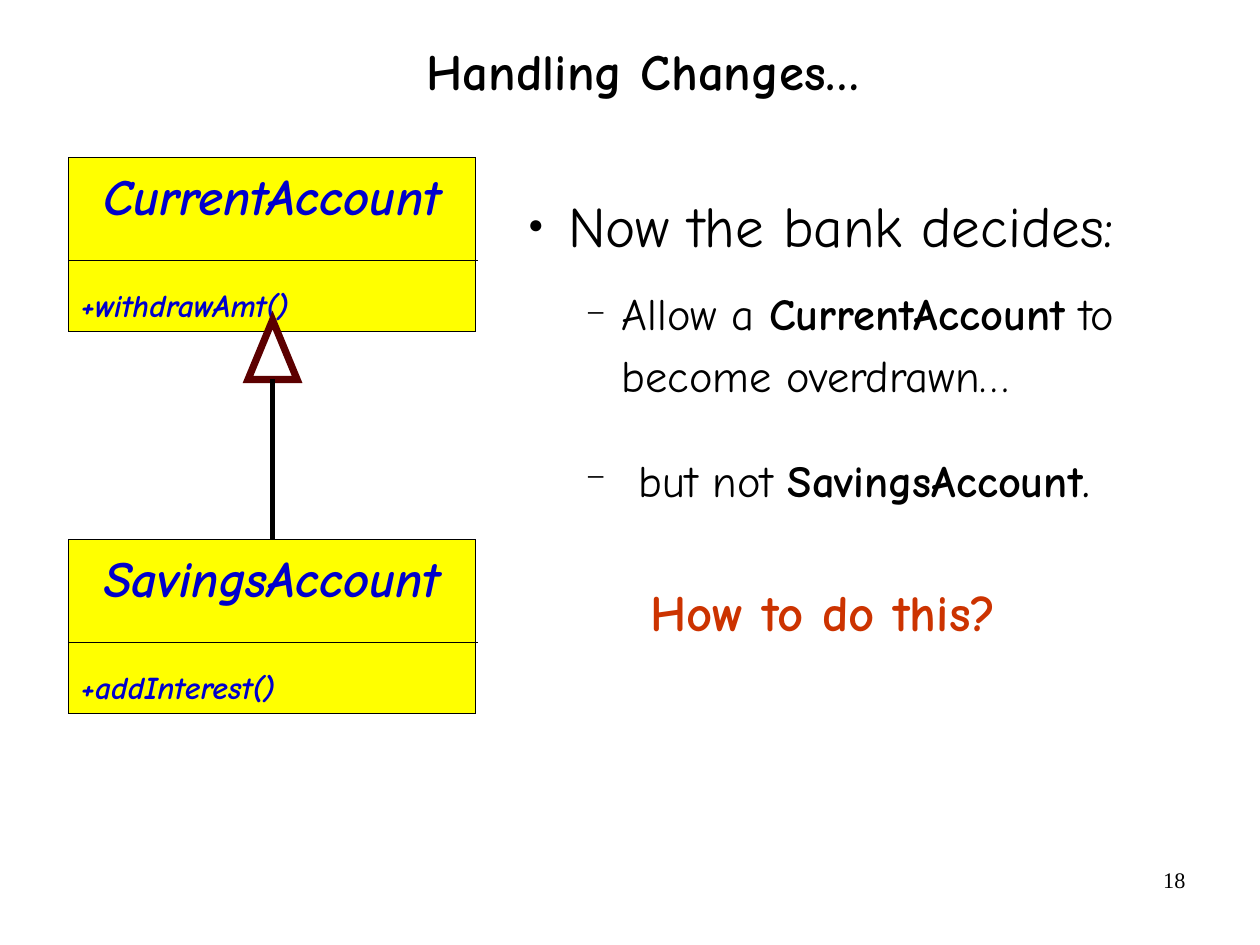
import pptx
import pptx.util
import pptx.dml.color
import pptx.enum.shapes
import pptx.enum.text
import pptx.oxml

Inches = pptx.util.Inches
Pt = pptx.util.Pt
SHAPE = pptx.enum.shapes.MSO_SHAPE
ALIGN = pptx.enum.text.PP_ALIGN
ANCHOR = pptx.enum.text.MSO_ANCHOR
NAMESPACE = 'xmlns:a="http://schemas.openxmlformats.org/drawingml/2006/main"'


def colour(value):
    """Turn a hex string into a colour."""
    return pptx.dml.color.RGBColor.from_string(value)


def add_span(para, text, size, ink="000000", bold=False, italic=False, face="Comic Neue"):
    """Add one run of text to a paragraph."""
    span = para.add_run()
    span.text = text
    font = span.font
    font.name, font.size, font.bold, font.italic = face, Pt(size), bold, italic
    font.color.rgb = colour(ink)


def set_frame(frame, across=0, down=0, anchor=ANCHOR.TOP):
    """Set wrapping, insets and anchor, and return the first paragraph."""
    frame.word_wrap = True
    frame.vertical_anchor = anchor
    frame.margin_left = frame.margin_right = Inches(across)
    frame.margin_top = frame.margin_bottom = Inches(down)
    return frame.paragraphs[0]


def add_text_box(page, left, top, width, height):
    """Add an empty text box and return its frame."""
    return page.shapes.add_textbox(
        Inches(left), Inches(top), Inches(width), Inches(height)).text_frame


def add_outlined(page, kind, left, top, width, height, fill, ink, weight):
    """Add a filled preset shape with a sharp-cornered outline."""
    shape = page.shapes.add_shape(
        kind, Inches(left), Inches(top), Inches(width), Inches(height))
    shape.shadow.inherit = False
    shape.fill.solid()
    shape.fill.fore_color.rgb = colour(fill)
    shape.line.color.rgb = colour(ink)
    shape.line.width = Pt(weight)
    outline = shape.line._get_or_add_ln()
    outline.append(pptx.oxml.parse_xml(f'<a:miter {NAMESPACE} lim="800000"/>'))
    return shape


def add_rule(page, start_x, start_y, end_x, end_y, weight):
    """Add a straight black line."""
    rule = page.shapes.add_connector(
        pptx.enum.shapes.MSO_CONNECTOR.STRAIGHT,
        Inches(start_x), Inches(start_y), Inches(end_x), Inches(end_y))
    rule.line.color.rgb = colour("000000")
    rule.line.width = Pt(weight)
    rule._element.spPr.append(pptx.oxml.parse_xml(f"<a:effectLst {NAMESPACE}/>"))


def add_title(page, left, top, width, height):
    """Add the centred slide title."""
    frame = add_text_box(page, left, top, width, height)
    para = set_frame(frame, anchor=ANCHOR.MIDDLE)
    para.alignment = ALIGN.CENTER
    para.line_spacing = 0.88
    add_span(para, "Handling Changes…", 32, bold=True)


def add_class(page, left, top, width, height, name, method):
    """Add a class box with its name, divider and method."""
    box = add_outlined(page, SHAPE.RECTANGLE, left, top, width, height,
                       "FFFF00", "000000", 0.75)
    heading = set_frame(box.text_frame, 0.11, 0.06)
    heading.alignment = ALIGN.CENTER
    add_span(heading, name, 32, "0000CC", True, True)
    member = box.text_frame.add_paragraph()
    member.alignment = ALIGN.LEFT
    member.space_before = Pt(38)
    add_span(member, method, 20, "0000CC", True, True)
    add_rule(page, left, top + 0.9, left + width + 0.02, top + 0.9, 0.75)


def add_inheritance(page, left, top, width, height):
    """Add the hollow triangle and the stem below it."""
    head = 0.52
    middle = left + width / 2
    add_outlined(page, SHAPE.ISOSCELES_TRIANGLE, left, top, width, head,
                 "FFFFFF", "5C0000", 4.5)
    add_rule(page, middle, top + head, middle, top + height, 3)


def set_bullet(para, margin, indent, symbol=None, percent=100):
    """Set the indents of a paragraph and its bullet, if any."""
    properties = para._p.get_or_add_pPr()
    properties.set("marL", str(Inches(margin)))
    properties.set("indent", str(Inches(indent)))
    marks = [f'<a:buClr {NAMESPACE}><a:srgbClr val="000000"/></a:buClr>',
             f'<a:buSzPct {NAMESPACE} val="{percent * 1000}"/>',
             f'<a:buFont {NAMESPACE} typeface="Times New Roman"/>',
             f'<a:buChar {NAMESPACE} char="{symbol}"/>']
    for mark in marks if symbol else [f"<a:buNone {NAMESPACE}/>"]:
        properties.append(pptx.oxml.parse_xml(mark))


def add_decision(page, left, top, width, height):
    """Add the bulleted text on the bank's decision."""
    frame = add_text_box(page, left, top, width, height)
    set_frame(frame)
    items = [
        (0.46, -0.35, "●", 45, 0, 0, [("Now the bank decides:", 36, "000000", False)]),
        (0.93, -0.31, "−", 75, 12, 10.9, [("Allow a ", 28, "000000", False),
                                          ("CurrentAccount", 28, "000000", True),
                                          (" to become overdrawn…", 28, "000000", False)]),
        (1.08, -0.46, "−", 75, 12, 0, [("but not ", 28, "000000", False),
                                       ("SavingsAccount", 28, "000000", True),
                                       (".", 32, "000000", False)]),
        (1.18, 0, None, 100, 40, 0, [("How to do this?", 32, "CC3300", True)]),
    ]
    for number, (margin, indent, symbol, percent, before, after, spans) in enumerate(items):
        para = frame.add_paragraph() if number else frame.paragraphs[0]
        para.line_spacing = 1.15
        para.space_before = Pt(before)
        para.space_after = Pt(after)
        set_bullet(para, margin, indent, symbol, percent)
        for span in spans:
            add_span(para, *span)


def add_page_number(page, left, top, width, height):
    """Add the page number at the lower right."""
    para = set_frame(add_text_box(page, left, top, width, height), 0.1, 0.05)
    para.alignment = ALIGN.RIGHT
    add_span(para, "18", 14, face="Times New Roman")


def main():
    """Build the deck and save it."""
    deck = pptx.Presentation()
    deck.slide_width, deck.slide_height = pptx.util.Cm(28), pptx.util.Cm(21)
    page = deck.slides.add_slide(deck.slide_layouts[6])
    add_page_number(page, 7.9, 7.53, 2.57, 0.57)
    add_title(page, 0.93, -0.03, 9.4, 1.37)
    add_decision(page, 4.51, 1.58, 6.31, 3.41)
    add_class(page, 0.6, 1.38, 3.56, 1.52, "CurrentAccount", "+withdrawAmt()")
    add_inheritance(page, 2.17, 2.8, 0.43, 1.92)
    add_class(page, 0.6, 4.72, 3.56, 1.52, "SavingsAccount", "+addInterest()")
    deck.save("out.pptx")


if __name__ == "__main__":
    main()
